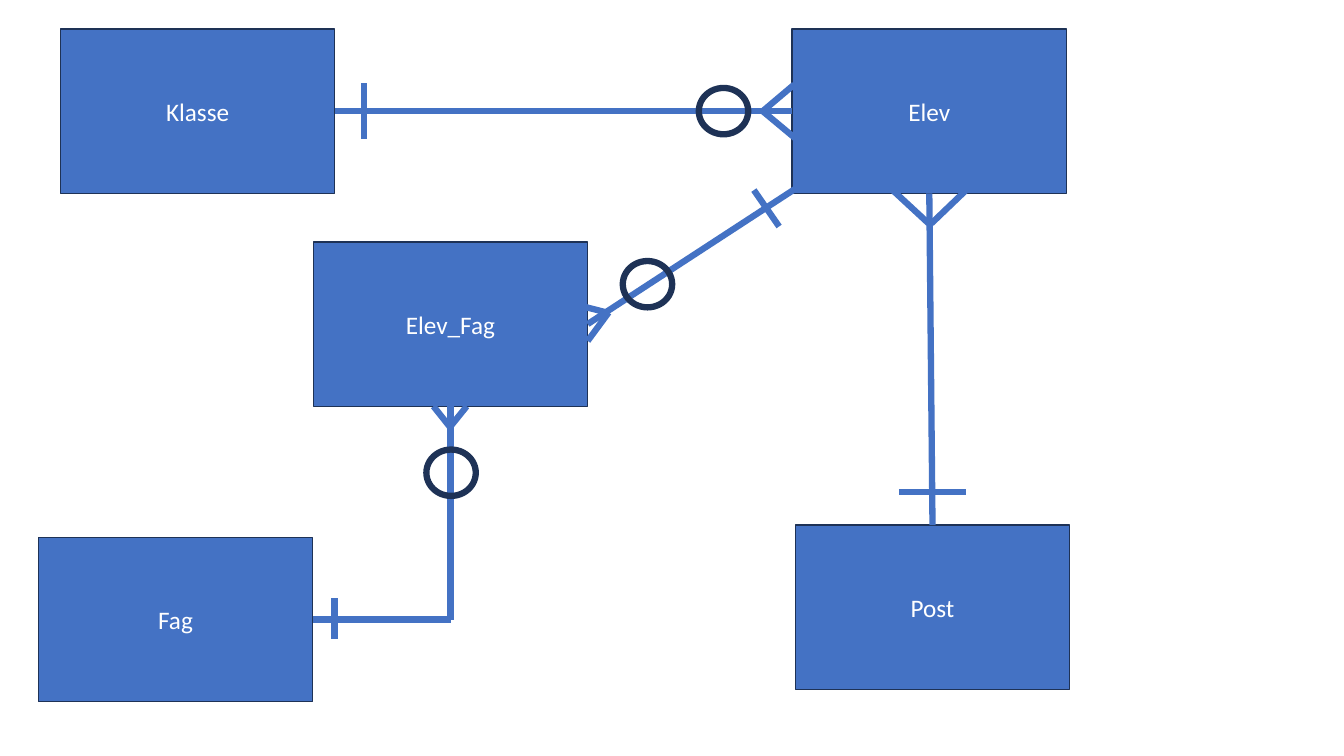
from dataclasses import dataclass

from lxml import etree
from pptx import Presentation
from pptx.dml.color import RGBColor
from pptx.enum.shapes import MSO_CONNECTOR, MSO_SHAPE
from pptx.enum.text import MSO_ANCHOR, PP_ALIGN
from pptx.oxml.ns import qn
from pptx.util import Pt

STRAIGHT = MSO_CONNECTOR.STRAIGHT
RECTANGLE, OVAL = MSO_SHAPE.RECTANGLE, MSO_SHAPE.OVAL
MIDDLE, CENTER = MSO_ANCHOR.MIDDLE, PP_ALIGN.CENTER

COLORS = {"blue": "4472C4", "navy": "1E3256", "white": "FFFFFF"}
ENTITY_WIDTH, ENTITY_HEIGHT = 196, 117.4
RING_WIDTH, RING_HEIGHT = 35.3, 33.1
STROKE = 4.5


@dataclass
class Entity:
    name: str
    left: float
    top: float

    @property
    def right(self):
        return self.left + ENTITY_WIDTH

    @property
    def bottom(self):
        return self.top + ENTITY_HEIGHT

    @property
    def center(self):
        return self.left + ENTITY_WIDTH / 2

    @property
    def middle(self):
        return self.top + ENTITY_HEIGHT / 2


def color(name):
    return RGBColor.from_string(COLORS[name])


def write_text(shape, text, size=18, font="Calibri", ink="white", align=CENTER):
    frame = shape.text_frame
    frame.word_wrap = True
    frame.vertical_anchor = MIDDLE
    paragraph = frame.paragraphs[0]
    paragraph.alignment = align
    run = paragraph.add_run()
    run.text = text
    run.font.size = Pt(size)
    run.font.name = font
    run.font.color.rgb = color(ink)


def draw_outlined(slide, kind, left, top, width, height, weight):
    shape = slide.shapes.add_shape(kind, Pt(left), Pt(top), Pt(width), Pt(height))
    shape.shadow.inherit = False
    shape.line.color.rgb = color("navy")
    shape.line.width = Pt(weight)
    return shape


def draw_entity(slide, entity):
    box = draw_outlined(slide, RECTANGLE, entity.left, entity.top,
                        ENTITY_WIDTH, ENTITY_HEIGHT, 1)
    box.fill.solid()
    box.fill.fore_color.rgb = color("blue")
    write_text(box, entity.name)


def draw_ring(slide, x, y):
    ring = draw_outlined(slide, OVAL, x - RING_WIDTH / 2, y - RING_HEIGHT / 2,
                         RING_WIDTH, RING_HEIGHT, STROKE)
    ring.fill.background()


def draw_lines(slide, *segments):
    for x1, y1, x2, y2 in segments:
        line = slide.shapes.add_connector(STRAIGHT, Pt(x1), Pt(y1), Pt(x2), Pt(y2))
        line.line.color.rgb = color("blue")
        line.line.width = Pt(STROKE)
        etree.SubElement(line._element.spPr, qn("a:effectLst"))


def relate_klasse_elev(slide, klasse, elev):
    y, bar, tip = klasse.middle, klasse.right + 21, elev.left - 21
    draw_lines(
        slide,
        (klasse.right, y, elev.left, y),
        (tip, y, elev.left + 1.5, y - 19),
        (tip, y, elev.left + 6, y + 22.5),
        (bar, y - 20, bar, y + 20),
    )
    draw_ring(slide, tip - 28, y)


def relate_elev_post(slide, elev, post):
    x, tip, bar = elev.center, elev.bottom + 21.5, post.top - 23.7
    draw_lines(
        slide,
        (x, elev.bottom, post.center, post.top),
        (x - 30.2, elev.bottom - 6, x - 0.5, tip),
        (x + 30.2, elev.bottom - 6, x + 1.5, tip),
        (post.center - 24, bar, post.center + 24, bar),
    )


def relate_elev_elev_fag(slide, elev, elev_fag):
    x, y = elev_fag.right, elev_fag.middle
    corner_x, corner_y = elev.left, elev.bottom
    draw_lines(
        slide,
        (corner_x + 6.5, corner_y - 6, x, y),
        (x + 15, y - 8.3, x, y + 12),
        (x + 13.6, y - 8.3, x - 6, y - 13.3),
        (corner_x - 27.3, corner_y - 2.3, corner_x - 9.3, corner_y + 23.7),
    )
    draw_ring(slide, x + 42.7, y - 28.5)


def relate_fag_elev_fag(slide, fag, elev_fag):
    x, y = elev_fag.center, fag.middle
    bar, tip = fag.right + 15.6, elev_fag.bottom + 14.4
    draw_lines(
        slide,
        (fag.right, y, x, y),
        (x, y, x, elev_fag.bottom),
        (x, tip, x + 11.6, elev_fag.bottom),
        (x - 12.2, elev_fag.bottom, x - 0.7, tip),
        (bar, y - 15.2, bar, y + 14.2),
    )
    draw_ring(slide, x + 0.4, elev_fag.bottom + 47.5)


def main():
    deck = Presentation()
    deck.slide_width, deck.slide_height = Pt(960), Pt(540)
    slide = deck.slides.add_slide(deck.slide_layouts[6])

    klasse = Entity("Klasse", 43.2, 20.7)
    elev = Entity("Elev", 565.8, 20.7)
    post = Entity("Post", 568.1, 375.1)
    fag = Entity("Fag", 27.4, 383.9)
    elev_fag = Entity("Elev_Fag", 223.8, 172.8)
    for entity in (klasse, elev, post, fag, elev_fag):
        draw_entity(slide, entity)

    relate_klasse_elev(slide, klasse, elev)
    relate_elev_post(slide, elev, post)
    relate_elev_elev_fag(slide, elev, elev_fag)
    relate_fag_elev_fag(slide, fag, elev_fag)
    deck.save("out.pptx")


if __name__ == "__main__":
    main()
